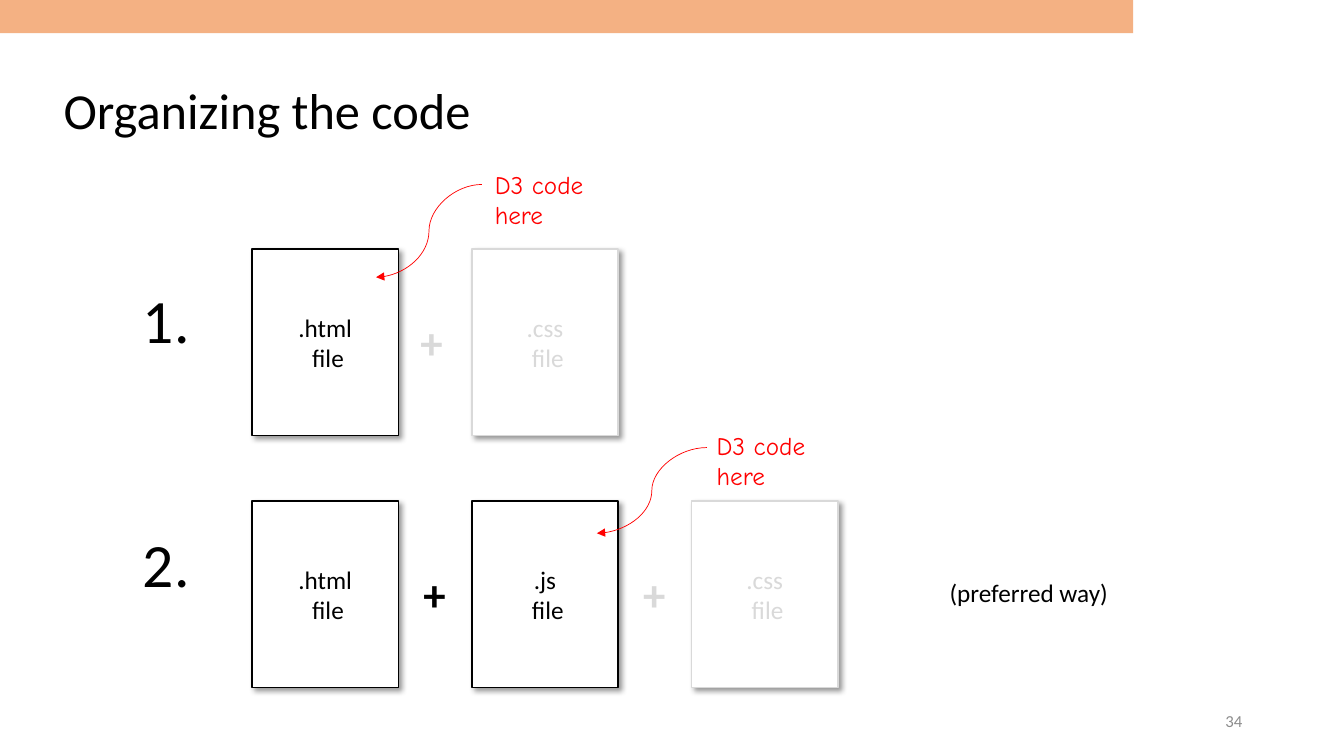
"""Build the slide on organizing the code into HTML, JS and CSS files."""
from lxml import etree
from pptx import Presentation
from pptx.dml.color import RGBColor
from pptx.enum import shapes, text
from pptx.oxml import parse_xml
from pptx.oxml.ns import nsdecls, qn
from pptx.util import Inches, Pt

COLORS = {"black": "000000", "white": "FFFFFF", "faded": "D9D9D9",
          "note": "FF0000", "number": "8C8C8C", "banner": "F4B183"}
ALIGN = text.PP_ALIGN
ANCHOR = text.MSO_ANCHOR


def write(shape, words, size, color="black", align=ALIGN.LEFT, anchor=ANCHOR.TOP,
          name="Calibri", bold=False, wrap=True):
    """Fill a shape with one formatted paragraph."""
    frame = shape.text_frame
    frame.word_wrap = wrap
    frame.vertical_anchor = anchor
    paragraph = frame.paragraphs[0]
    paragraph.text = words
    paragraph.alignment = align
    for run in paragraph.runs:
        for key, value in {"name": name, "size": Pt(size), "bold": bold}.items():
            setattr(run.font, key, value)
        run.font.color.rgb = RGBColor.from_string(COLORS[color])
    return paragraph


def add_label(box, words, size, **formats):
    """Add a text box at left, top, width, height."""
    label = slide.shapes.add_textbox(*map(Inches, box))
    write(label, words, size, **formats)


presentation = Presentation()
presentation.slide_width = Inches(13.33)
presentation.slide_height = Inches(7.5)
slide = presentation.slides.add_slide(presentation.slide_layouts[5])

title = slide.shapes.title
for key, value in zip(("left", "top", "width", "height"), (0.53, 0.4, 10.97, 1.45)):
    setattr(title, key, Inches(value))
write(title, "Organizing the code", 36, anchor=ANCHOR.MIDDLE).line_spacing = 0.9

banner = slide.shapes.add_shape(shapes.MSO_SHAPE.RECTANGLE, 0, 0, Inches(11.24), Inches(0.33))
banner.shadow.inherit = False
banner.fill.solid()
banner.fill.fore_color.rgb = RGBColor.from_string(COLORS["banner"])
banner.line.fill.background()

file_left, file_step, file_width, file_height = 2.5, 2.18, 1.45, 1.85
options = [
    {"number": "1.", "number_top": 2.75, "top": 2.47, "plus_offset": 1.57,
     "files": [("html", "black"), ("css", "faded")],
     "arrow": (4.78, 1.83, 3.73, 2.75), "note": (4.81, 1.63)},
    {"number": "2.", "number_top": 5.17, "top": 4.97, "plus_offset": 1.6,
     "files": [("html", "black"), ("js", "black"), ("css", "faded")],
     "arrow": (7.01, 4.44, 5.92, 5.29), "note": (7.01, 4.22)},
]

for option in options:
    add_label((1.32, option["number_top"], 0.67, 0.84), option["number"], 44, wrap=False)

    for column, (extension, color) in enumerate(option["files"]):
        left = file_left + column * file_step
        page = slide.shapes.add_shape(
            shapes.MSO_SHAPE.RECTANGLE,
            *map(Inches, (left, option["top"], file_width, file_height)))
        page.fill.solid()
        page.fill.fore_color.rgb = RGBColor.from_string(COLORS["white"])
        page.line.color.rgb = RGBColor.from_string(COLORS[color])
        page.line.width = Pt(1)
        page.shadow.inherit = False
        effects = page.element.spPr.find(qn("a:effectLst"))
        effects.append(parse_xml(
            f'<a:outerShdw {nsdecls("a")} blurRad="{Pt(4)}" dist="{Pt(3)}" dir="2700000" '
            f'algn="tl" rotWithShape="0"><a:srgbClr val="{COLORS["black"]}">'
            '<a:alpha val="40000"/></a:srgbClr></a:outerShdw>'))
        write(page, f".{extension}\v file", 18, color=color,
              align=ALIGN.CENTER, anchor=ANCHOR.MIDDLE)
        if column:
            plus_left = left - file_step + option["plus_offset"]
            add_label((plus_left, option["top"] + 0.6, 0.43, 0.64), "+", 32,
                      color=color, bold=True, wrap=False)

    arrow = slide.shapes.add_connector(shapes.MSO_CONNECTOR.CURVE, *map(Inches, option["arrow"]))
    arrow.line.color.rgb = RGBColor.from_string(COLORS["note"])
    arrow.line.width = Pt(0.5)
    etree.SubElement(arrow.line._get_or_add_ln(), qn("a:tailEnd"), type="triangle")
    etree.SubElement(arrow.element.spPr, qn("a:effectLst"))
    add_label((*option["note"], 1.47, 0.4), "D3 code here", 18, color="note", name="Comic Neue")

add_label((9.32, 5.68, 1.79, 0.4), "(preferred way)", 18, wrap=False)
add_label((9.42, 6.95, 3, 0.4), "34", 12, color="number", align=ALIGN.RIGHT, anchor=ANCHOR.MIDDLE)

presentation.save("out.pptx")
